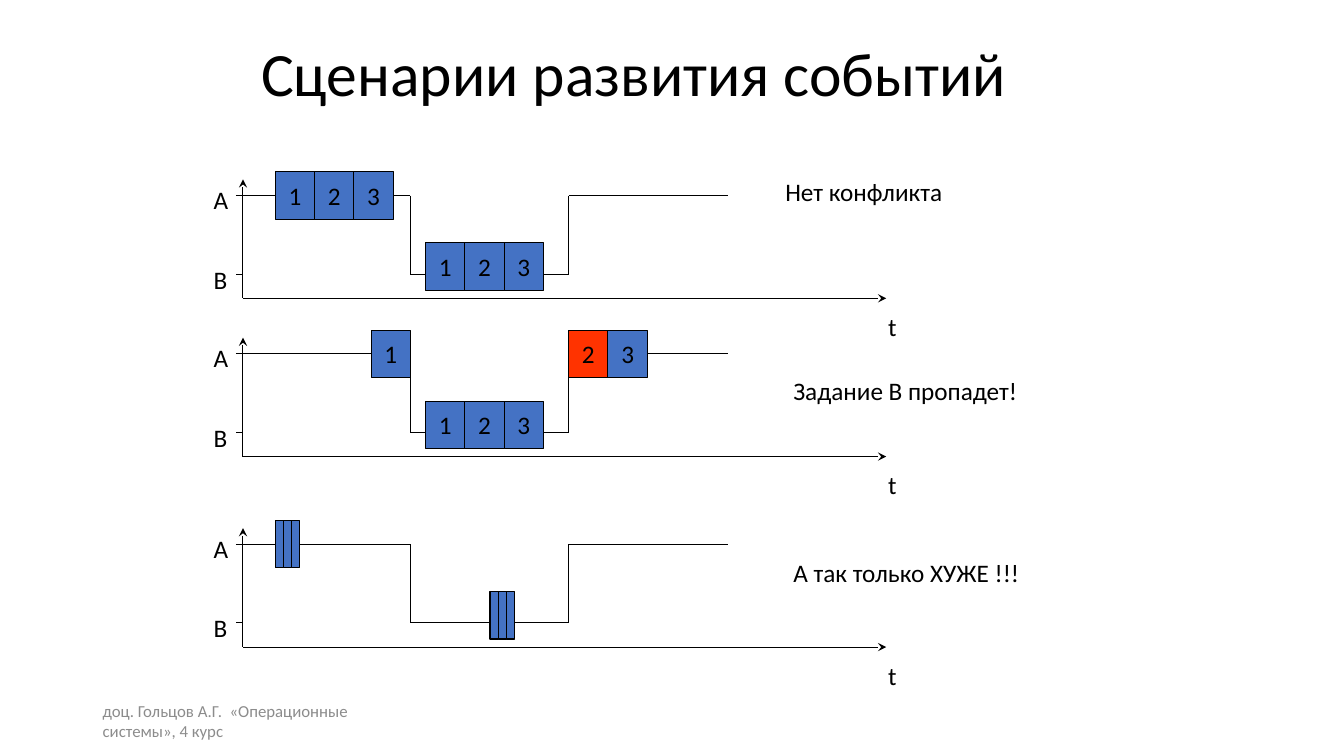
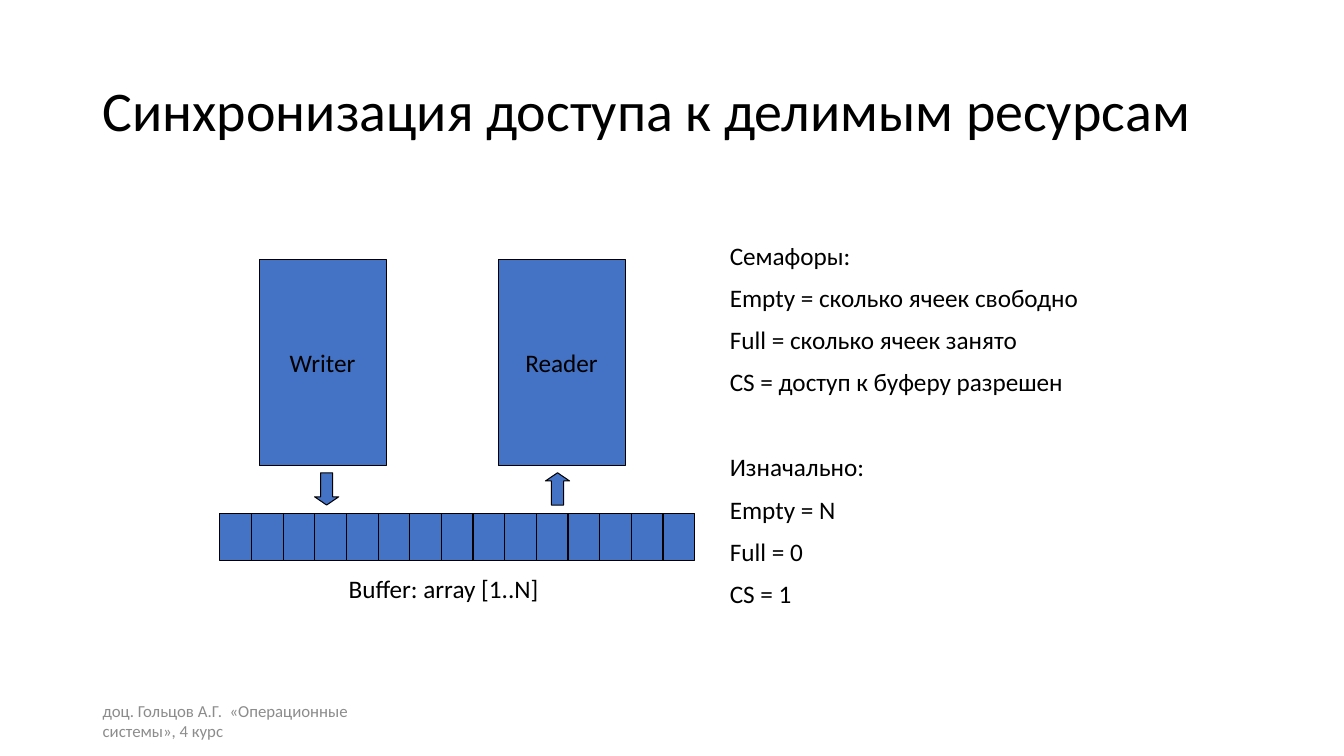
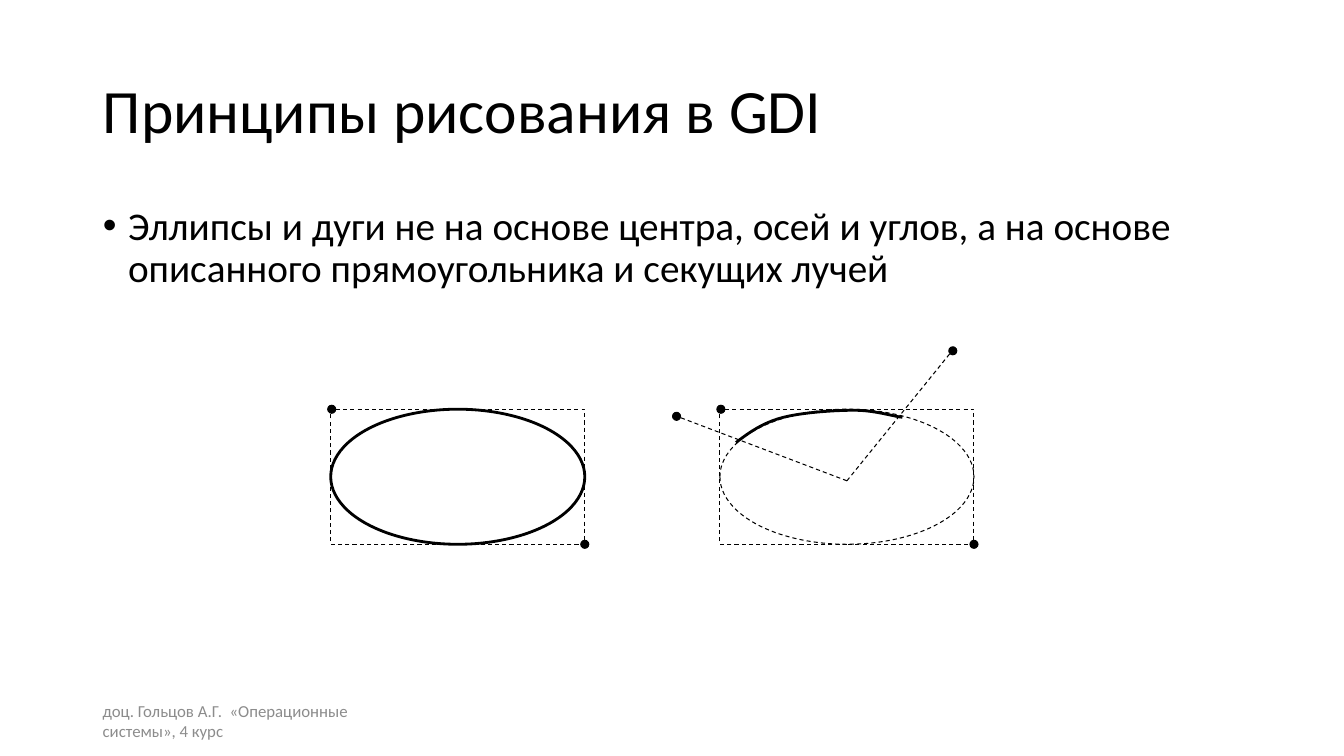
"""Build three lecture slides on scheduling, synchronisation and GDI drawing."""
from lxml import etree
from pptx import Presentation
from pptx.dml.color import RGBColor
from pptx.enum import dml, shapes, text
from pptx.oxml import ns
from pptx.util import Inches, Pt

BLACK = RGBColor(0x00, 0x00, 0x00)
BLUE = RGBColor(0x44, 0x72, 0xC4)
RED = RGBColor(0xFF, 0x33, 0x00)
GRAY = RGBColor(0x8C, 0x8C, 0x8C)
FONT = "Calibri"
FOOTER = "доц. Гольцов А.Г.  «Операционные системы», 4 курс"
RECTANGLE = shapes.MSO_SHAPE.RECTANGLE
OVAL = shapes.MSO_SHAPE.OVAL
STRAIGHT = shapes.MSO_CONNECTOR.STRAIGHT


def draw_shape(slide, kind, box, fill=BLUE, label="", weight=0.75, dashed=False):
    shape = slide.shapes.add_shape(kind, *map(Inches, box))
    shape.shadow.inherit = False
    if fill is None:
        shape.fill.background()
    else:
        shape.fill.solid()
        shape.fill.fore_color.rgb = fill
    shape.line.color.rgb = BLACK
    shape.line.width = Pt(weight)
    if dashed:
        shape.line.dash_style = dml.MSO_LINE.DASH
    if label:
        frame = shape.text_frame
        frame.text = label
        frame.word_wrap = False
        frame.vertical_anchor = text.MSO_ANCHOR.MIDDLE
        frame.paragraphs[0].alignment = text.PP_ALIGN.CENTER
    return shape


def write_text(slide, box, content, wrap=True, size=18, color=BLACK):
    textbox = slide.shapes.add_textbox(*map(Inches, box))
    frame = textbox.text_frame
    frame.word_wrap = wrap
    frame.text = content
    for paragraph in frame.paragraphs:
        for run in paragraph.runs:
            run.font.size = Pt(size)
            run.font.color.rgb = color
    return textbox


presentation = Presentation()
presentation.slide_width = Inches(13.33)
presentation.slide_height = Inches(7.5)

title_box = (0.92, 0.4, 11.5, 1.45)
slides = []
for layout, title, box, size in (
    (5, "Сценарии развития событий", (2.49, 0.28, 9, 0.95), 44),
    (5, "Синхронизация доступа к делимым ресурсам", title_box, 40),
    (1, "Принципы рисования в GDI", title_box, 44),
):
    slide = presentation.slides.add_slide(presentation.slide_layouts[layout])
    slides.append(slide)
    footer = write_text(slide, (0.92, 6.95, 3, 0.4), FOOTER, size=12, color=GRAY)
    footer.text_frame.vertical_anchor = text.MSO_ANCHOR.MIDDLE
    heading = slide.shapes.title
    heading.left, heading.top, heading.width, heading.height = map(Inches, box)
    heading.text_frame.text = title
    heading.text_frame.auto_size = text.MSO_AUTO_SIZE.NONE
    heading.text_frame.vertical_anchor = text.MSO_ANCHOR.MIDDLE
    paragraph = heading.text_frame.paragraphs[0]
    paragraph.alignment = text.PP_ALIGN.LEFT
    paragraph.line_spacing = 0.9
    paragraph.runs[0].font.size = Pt(size)
scenario_slide, buffer_slide, gdi_slide = slides

arrow_ends = []
LEVEL_A, LEVEL_B, AXIS = 0.16, 0.94, 1.18
BLOCK_HEIGHT = 0.47
block_tops = {"A": LEVEL_A - BLOCK_HEIGHT / 2, "B": 0.63}
signal_points = [(2.34, LEVEL_A), (4.07, LEVEL_A), (4.07, LEVEL_B),
                 (5.64, LEVEL_B), (5.64, LEVEL_A), (7.22, LEVEL_A)]
numbers = ["1", "2", "3"]
unlabelled = [""] * 3
scenarios = (
    (1.78, "Нет конфликта", 7.69, -0.08, 0.39,
     [("A", 2.73, numbers), ("B", 4.22, numbers)]),
    (3.35, "Задание B пропадет!", 7.77, 0.32, 0.39,
     [("A", 3.68, ["1"]), ("A", 5.64, ["2", "3"]), ("B", 4.22, numbers)]),
    (5.24, "А так только ХУЖЕ !!!", 7.77, 0.24, 0.08,
     [("A", 2.73, unlabelled), ("B", 4.86, unlabelled)]),
)
for top, verdict, verdict_left, verdict_offset, block_width, groups in scenarios:
    segments = [((2.41, 0), (2.41, AXIS)), ((2.41, AXIS), (8.79, AXIS))]
    segments += zip(signal_points, signal_points[1:])
    segments.append(((2.41, LEVEL_B), (2.34, LEVEL_B)))
    connectors = []
    for (x1, y1), (x2, y2) in segments:
        connectors.append(scenario_slide.shapes.add_connector(
            STRAIGHT, Inches(x1), Inches(top + y1), Inches(x2), Inches(top + y2)))
    arrow_ends += [(connectors[0], "a:headEnd"), (connectors[1], "a:tailEnd")]

    write_text(scenario_slide, (2.02, top, 0.35, 0.4), "A", wrap=False)
    write_text(scenario_slide, (2.02, top + 0.79, 0.34, 0.4), "B", wrap=False)
    write_text(scenario_slide, (8.71, top + 1.26, 0.79, 0.4), "t")

    for row, left, labels in groups:
        for index, label in enumerate(labels):
            late = row == "A" and label == "2" and index == 0
            block = draw_shape(
                scenario_slide, RECTANGLE,
                (left + index * block_width, top + block_tops[row], block_width, BLOCK_HEIGHT),
                RED if late else BLUE, label)
            middle = block.top + block.height // 2
            for site, side in ((1, block.left), (3, block.left + block.width)):
                for connector in connectors:
                    begin = abs(connector.begin_x - side) + abs(connector.begin_y - middle)
                    end = abs(connector.end_x - side) + abs(connector.end_y - middle)
                    if begin < Inches(0.01):
                        connector.begin_connect(block, site)
                    if end < Inches(0.01):
                        connector.end_connect(block, site)
    write_text(scenario_slide, (verdict_left, top + verdict_offset, 3.31, 0.4), verdict)

for left, label in ((2.57, "Writer"), (4.94, "Reader")):
    draw_shape(buffer_slide, RECTANGLE, (left, 2.57, 1.26, 2.05), label=label)
CELL_COUNT = 15
cell_width = 4.71 / CELL_COUNT
for index in range(CELL_COUNT):
    draw_shape(buffer_slide, RECTANGLE, (2.18 + index * cell_width, 5.09, cell_width, 0.47))
write_text(buffer_slide, (3.36, 5.64, 2.11, 0.4), "Buffer: array [1..N]", wrap=False)
for kind, left in ((shapes.MSO_SHAPE.DOWN_ARROW, 3.12), (shapes.MSO_SHAPE.UP_ARROW, 5.41)):
    arrow = draw_shape(buffer_slide, kind, (left, 4.69, 0.24, 0.32))
    arrow.adjustments[1] = 0.34

semaphores = [
    "Семафоры:", "Empty = сколько ячеек свободно", "Full = сколько ячеек занято",
    "CS = доступ к буферу разрешен", "Изначально:", "Empty = N", "Full = 0", "CS = 1",
]
notes = write_text(buffer_slide, (7.14, 2.33, 4.17, 4.01), "\n".join(semaphores))
for paragraph in notes.text_frame.paragraphs[1:]:
    paragraph.space_before = Pt(39.2 if paragraph.text == "Изначально:" else 8.6)

body = gdi_slide.placeholders[1]
body.left, body.top, body.width, body.height = map(Inches, (0.92, 2, 11.5, 4.76))
body.text_frame.text = (
    "Эллипсы и дуги не на основе центра, осей и углов, "
    "а на основе описанного прямоугольника и секущих лучей")
body.text_frame.auto_size = text.MSO_AUTO_SIZE.NONE
paragraph = body.text_frame.paragraphs[0]
paragraph.line_spacing = 0.9
paragraph.space_before = Pt(10)
paragraph.runs[0].font.size = Pt(28)
properties = paragraph._p.get_or_add_pPr()
properties.set("marL", str(Inches(0.25)))
properties.set("indent", str(-Inches(0.25)))

DOT = 0.08
dots = [(6.71, 4.13), (9.45, 3.48)]
for left, weight, dashed in ((3.28, 2, False), (7.14, 0.75, True)):
    frame_box = (left, 4.06, 2.52, 1.34)
    draw_shape(gdi_slide, OVAL, frame_box, None, weight=weight, dashed=dashed)
    draw_shape(gdi_slide, RECTANGLE, frame_box, None, dashed=True)
    dots += [(left + 0.01, 4.06), (left + 2.52, 5.4)]

curves = [
    [(7.3, 4.39), (7.43, 4.29), (7.57, 4.19), (7.77, 4.14)],
    [(7.77, 4.14), (7.97, 4.09), (8.28, 4.07), (8.48, 4.07)],
    [(8.48, 4.07), (8.67, 4.07), (8.86, 4.13), (8.95, 4.14)],
]
STEPS = 10
arc_points = []
for curve in curves:
    for step in range(1, STEPS + 1):
        t = step / STEPS
        weights = ((1 - t) ** 3, 3 * t * (1 - t) ** 2, 3 * t ** 2 * (1 - t), t ** 3)
        arc_points.append(tuple(
            Inches(sum(w * point[axis] for w, point in zip(weights, curve)))
            for axis in (0, 1)))
builder = gdi_slide.shapes.build_freeform(Inches(7.3), Inches(4.39))
builder.add_line_segments(arc_points, close=False)
arc = builder.convert_to_shape()
arc.shadow.inherit = False
arc.fill.background()
arc.line.color.rgb = BLACK
arc.line.width = Pt(2)

for x, y in ((9.42, 3.51), (6.74, 4.14)):
    ray = gdi_slide.shapes.add_connector(
        STRAIGHT, Inches(8.4), Inches(4.77), Inches(x), Inches(y))
    ray.line.dash_style = dml.MSO_LINE.DASH
for x, y in dots:
    draw_shape(gdi_slide, OVAL, (x - DOT / 2, y - DOT / 2, DOT, DOT), BLACK)

for slide in slides:
    for shape in slide.shapes:
        if shape.shape_type == shapes.MSO_SHAPE_TYPE.LINE:
            shape.line.color.rgb = BLACK
            shape.line.width = Pt(0.75)
            etree.SubElement(shape._element.spPr, ns.qn("a:effectLst"))
        elif shape.has_text_frame:
            for paragraph in shape.text_frame.paragraphs:
                for run in paragraph.runs:
                    run.font.name = FONT
                    run.font.size = run.font.size or Pt(18)
                    if run.font.color.type is None:
                        run.font.color.rgb = BLACK

for connector, tag in arrow_ends:
    etree.SubElement(connector.line._get_or_add_ln(), ns.qn(tag), type="stealth")

presentation.save("out.pptx")
